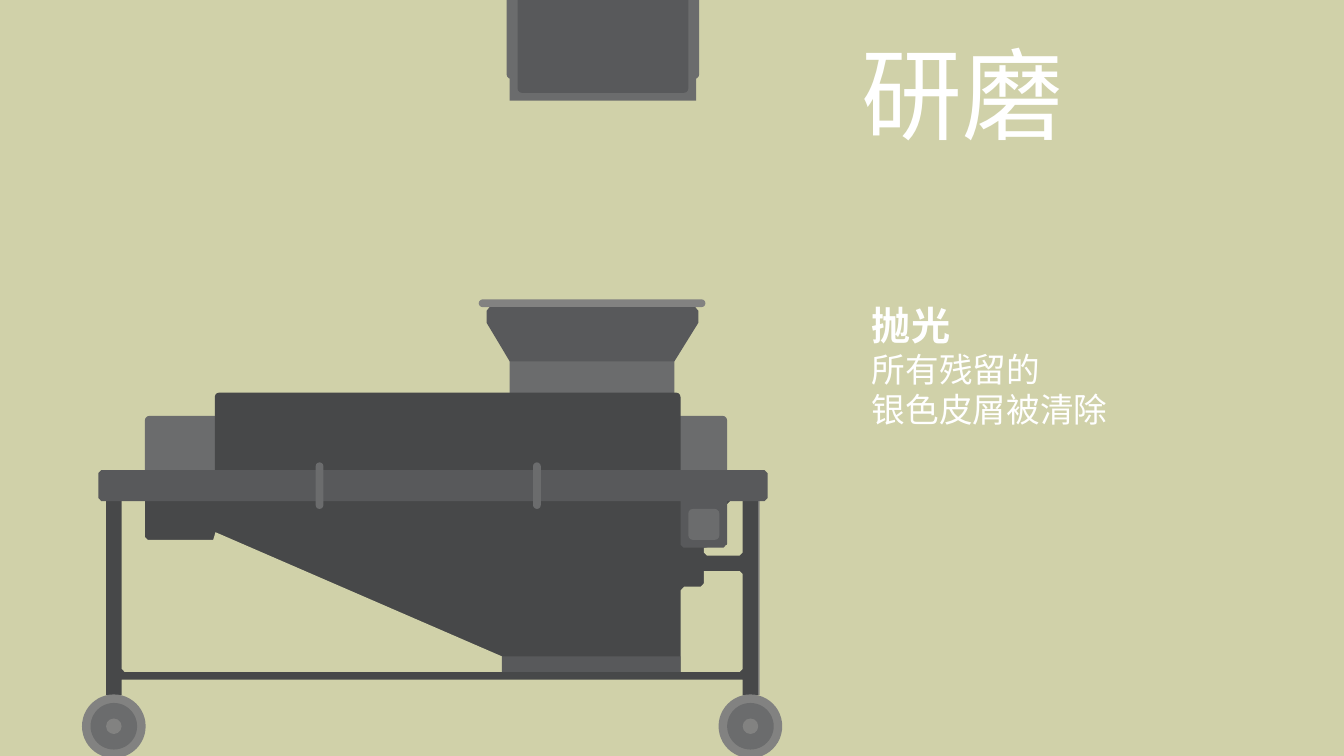
from pptx import Presentation
from pptx import util as u
from pptx.dml.color import RGBColor
from pptx.enum import shapes, text
from pptx.oxml.ns import qn
from lxml import etree

SAND = RGBColor(0xD0, 0xD1, 0xA9)
WHITE = RGBColor(0xFF, 0xFF, 0xFF)
CHARCOAL = RGBColor(0x47, 0x48, 0x49)
SLATE = RGBColor(0x58, 0x59, 0x5B)
GREY = RGBColor(0x6B, 0x6C, 0x6D)
SILVER = RGBColor(0x82, 0x82, 0x81)

# The machine stands on a square grid: column 0 is the left end of its
# table, row 0 is the top of the hopper lip.
CELL, GRID_LEFT, GRID_TOP = 0.077, 0.975, 2.97
CORNER = 0.6  # corner radius in cells

RECT = shapes.MSO_SHAPE.RECTANGLE
ROUND = shapes.MSO_SHAPE.ROUNDED_RECTANGLE
OVAL = shapes.MSO_SHAPE.OVAL

# (preset, colour, left, top, right, bottom) in cells
CHUTE = [
    (ROUND, GREY, 52.6, -41.8, 77.4, -28.4),
    (RECT, GREY, 53, -40, 77, -25.6),
    (ROUND, SLATE, 54, -40.8, 76, -26.6),
]
LEG_EDGE = [(RECT, SILVER, 84.5, 26, 85.2, 51)]
BODY = [
    (ROUND, GREY, 6, 15, 16, 23),
    (ROUND, GREY, 74, 15, 81, 23),
    (RECT, GREY, 53, 7, 74.2, 13),
    (ROUND, CHARCOAL, 15, 12, 75, 23),
    (ROUND, SILVER, 49, 0, 78.2, 1),
    (RECT, SLATE, 52, 46, 75, 48),
    (RECT, SLATE, 28, 22, 57, 26),
]
FITTINGS = [
    (ROUND, GREY, 28, 21, 29, 27),
    (ROUND, GREY, 56, 21, 57, 27),
    (ROUND, GREY, 76, 27, 80, 31),
]

# (colour, corners as column and row)
STAND = [
    (CHARCOAL, [(1, 26), (85, 26), (85, 51), (83, 51), (83, 49),
                (3, 49), (3, 51), (1, 51)]),
    (SAND, [(3, 26), (6, 26), (6, 30.6), (6.4, 31), (14.8, 31), (15.1, 30),
            (52, 46), (52, 48), (3.4, 48), (3, 47.6)]),
    (SAND, [(75.5, 37), (77.6, 37), (78, 36.6), (78, 35), (82.6, 35), (83, 35.4),
            (83, 47.6), (82.6, 48), (75, 48), (75, 37.5)]),
    (SAND, [(78, 32), (81, 31.6), (81, 26.4), (81.4, 26), (83, 26), (83, 32.6),
            (82.6, 33), (78.4, 33), (78, 32.6)]),
]
TABLE_ENDS = [
    (SLATE, [(0, 22.4), (0.4, 22), (28.5, 22), (28.5, 26), (0.4, 26), (0, 25.6)]),
    (SLATE, [(56.5, 22), (85.8, 22), (86.2, 22.4), (86.2, 25.6), (85.8, 26),
             (81, 26), (81, 31.5), (80.5, 32), (75.4, 32), (75, 31.6),
             (75, 26), (56.5, 26)]),
]
HOPPER = [
    (SLATE, [(50.4, 1), (76.9, 1), (77.3, 1.5), (77.3, 3), (74.2, 8),
             (53, 8), (50, 3), (50, 1.5)]),
]

WHEEL_COLUMNS, WHEEL_ROW = (2, 84), 55
WHEEL_RINGS = [(SILVER, 4.1), (GREY, 3), (SILVER, 1)]  # colour, radius

# (words, size, bold)
TITLE = [("研磨", 72, False)]
STEP = [("抛光", 28, True), ("所有残留的", 24, False), ("银色皮屑被清除", 24, False)]


def column(c):
    return u.Inches(GRID_LEFT + c * CELL)


def row(r):
    return u.Inches(GRID_TOP + r * CELL)


def paint(part, colour):
    part.shadow.inherit = False
    part.fill.solid()
    part.fill.fore_color.rgb = colour
    part.line.fill.background()


def add_part(slide, preset, colour, left, top, right, bottom):
    part = slide.shapes.add_shape(preset, column(left), row(top),
                                  column(right) - column(left), row(bottom) - row(top))
    if preset == ROUND:
        part.adjustments[0] = min(0.5, CORNER / min(right - left, bottom - top))
    paint(part, colour)


def add_plate(slide, colour, corners):
    points = [(column(c), row(r)) for c, r in corners]
    outline = slide.shapes.build_freeform(*points[0])
    outline.add_line_segments(points[1:], close=True)
    paint(outline.convert_to_shape(), colour)


def add_words(slide, lines, box, font, align):
    frame = slide.shapes.add_textbox(*map(u.Inches, box)).text_frame
    frame.word_wrap = True
    for index, (words, size, bold) in enumerate(lines):
        paragraph = frame.add_paragraph() if index else frame.paragraphs[0]
        paragraph.alignment = align
        run = paragraph.add_run()
        run.text = words
        run.font.size = u.Pt(size)
        run.font.bold = bold
        run.font.color.rgb = WHITE
        run.font.name = font
        etree.SubElement(run.font._element, qn("a:ea"), typeface=font)


def main():
    deck = Presentation()
    deck.slide_width, deck.slide_height = u.Inches(13.33), u.Inches(7.5)
    slide = deck.slides.add_slide(deck.slide_layouts[6])
    slide.background.fill.solid()
    slide.background.fill.fore_color.rgb = SAND

    for part in CHUTE + LEG_EDGE:
        add_part(slide, *part)
    for plate in STAND:
        add_plate(slide, *plate)
    for part in BODY:
        add_part(slide, *part)
    for plate in TABLE_ENDS + HOPPER:
        add_plate(slide, *plate)
    for part in FITTINGS:
        add_part(slide, *part)

    for hub in WHEEL_COLUMNS:
        for colour, radius in WHEEL_RINGS:
            add_part(slide, OVAL, colour, hub - radius, WHEEL_ROW - radius,
                     hub + radius, WHEEL_ROW + radius)

    add_words(slide, TITLE, (8.34, 0.27, 2.41, 1.31), "Noto Sans CJK JP",
              text.PP_ALIGN.CENTER)
    add_words(slide, STEP, (8.55, 2.94, 3.12, 1.38), "Noto Sans CJK SC",
              text.PP_ALIGN.LEFT)
    deck.save("out.pptx")


if __name__ == "__main__":
    main()
